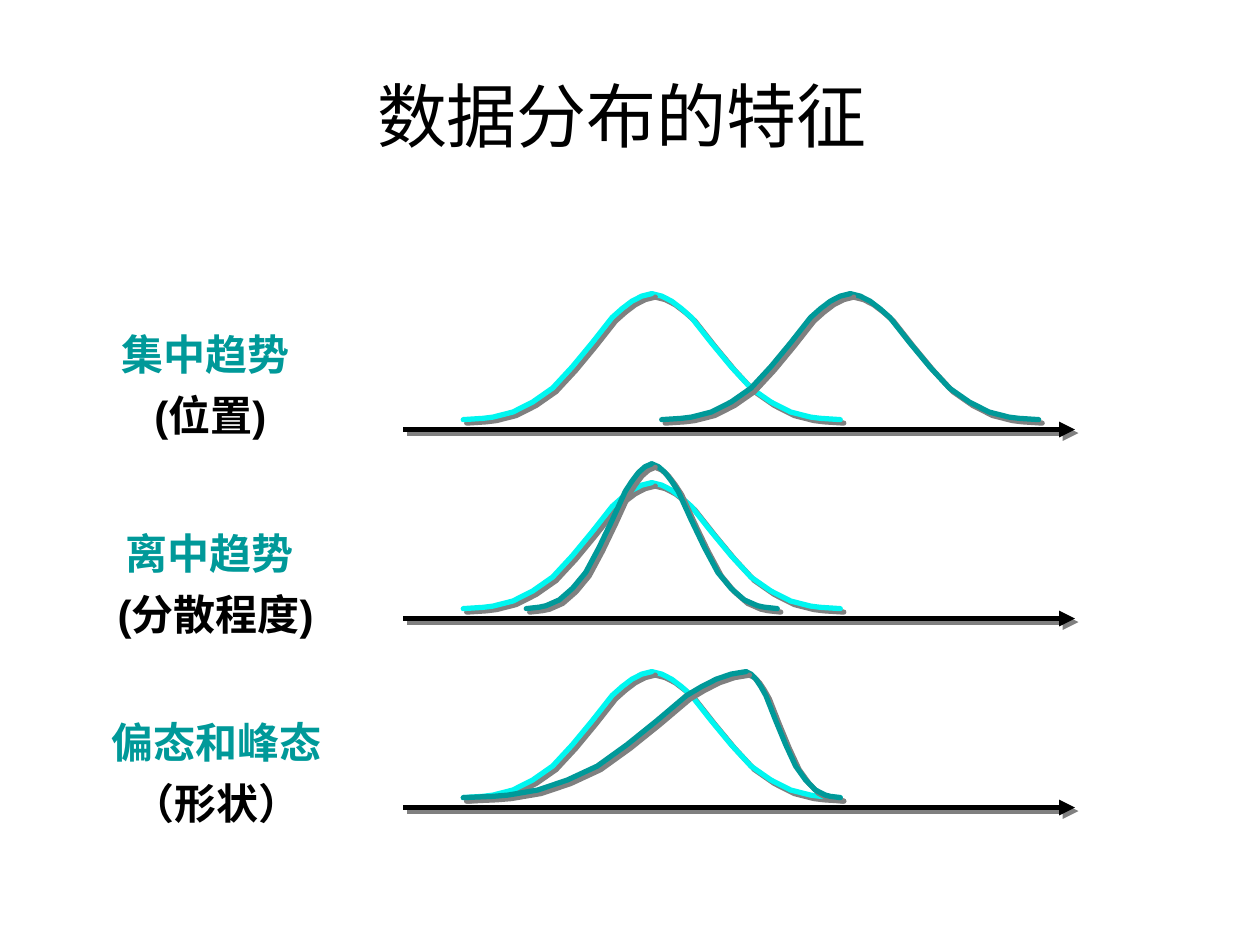
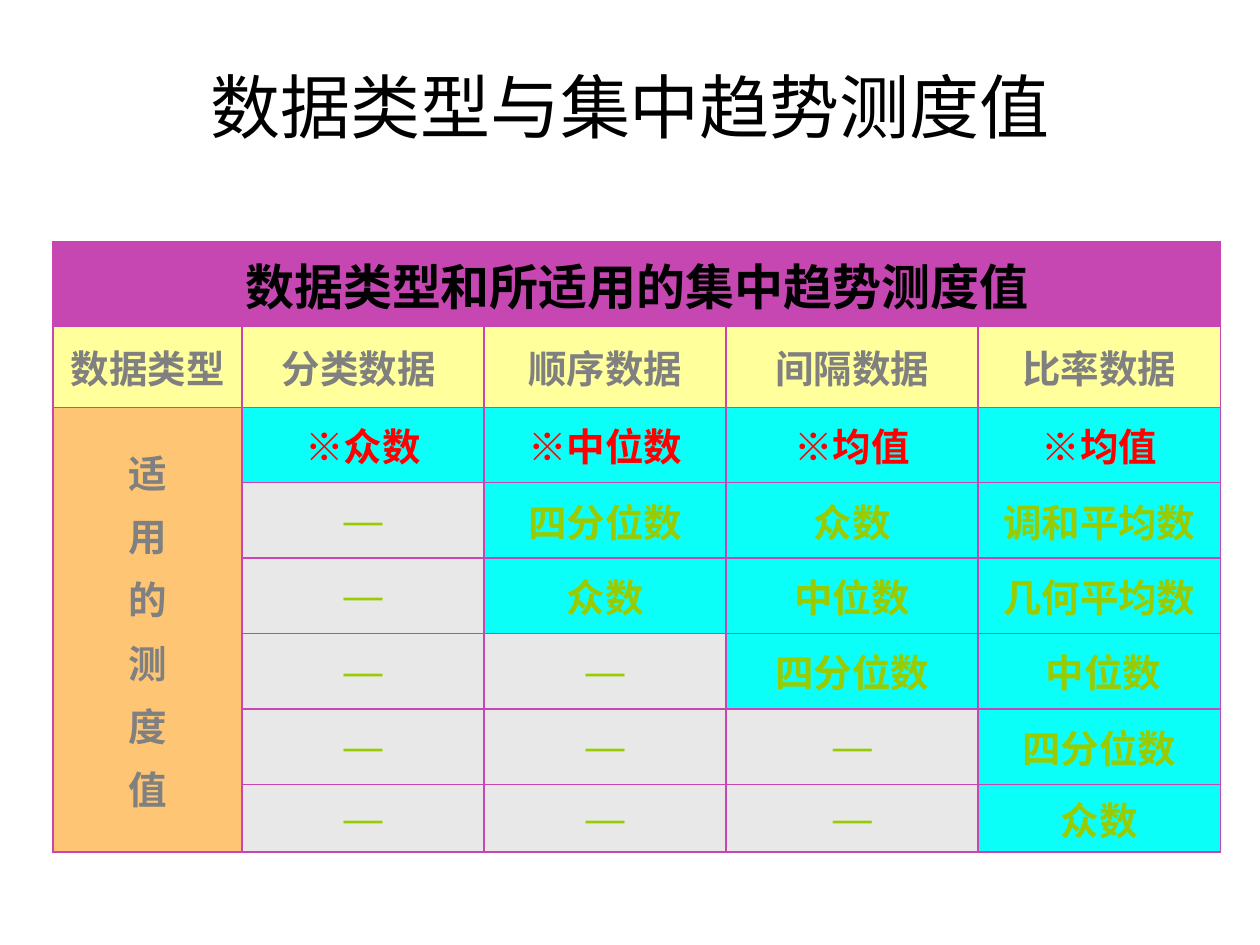
from itertools import cycle

from lxml import etree
from pptx import Presentation
from pptx.dml.color import RGBColor
from pptx.enum.shapes import MSO_CONNECTOR
from pptx.enum.text import MSO_ANCHOR, PP_ALIGN
from pptx.oxml.ns import qn
from pptx.util import Cm, Pt

LINE = MSO_CONNECTOR.STRAIGHT
MIDDLE = MSO_ANCHOR.MIDDLE
CENTER = PP_ALIGN.CENTER

BLACK, GREY, RED = "000000", "808080", "FF0000"
LIGHT, TEAL = "00F6F0", "009999"
EDGE, BANNER, HEAD, SIDE = "C945B3", "C747B2", "FFFF9B", "FEC674"
CYAN, PALE, GREEN = "0BFFF9", "E8E8E8", "99CC00"

# Half a bell: steps of 1/19 from foot to peak, and share of full height
STEPS = (0, 2, 3, 4, 5, 6, 7, 9, 11, 13, 14, 15, 16, 17, 18, 19)
RISE = (0, .01, .02, .04, .06, .1, .14, .25, .42,
        .61, .71, .81, .88, .94, .98, 1)

# Bells: left foot, peak, right foot, height (cm)
NORMAL = (9.34, 13.14, 16.94, 2.54)
ROWS = (
    ((1.27, 6.35, 5.94), ("集中趋势 ", "(位置)"),
     (13.34, 17.14, 20.94, 2.54)),
    ((0.84, 10.36, 6.78), ("离中趋势", " (分散程度)"),
     (10.61, 13.14, 15.67, 2.92)),
    ((1.07, 14.17, 6.58), ("偏态和峰态", "（形状）"),
     (9.34, 15.04, 16.94, 2.54)),
)
FOOT, STEP = 8.46, 3.81

DASH = "—"
COLS = (3.81, 4.88, 4.88, 5.08, 4.88)
HIGH = (1.7, 1.63, 1.52, 1.52, 1.52, 1.52, 1.52, 1.37)
TYPES = ("数据类型", "分类数据 ", "顺序数据", "间隔数据", "比率数据")
BODY = (
    ("※众数", "※中位数", "※均值", "※均值"),
    (DASH, "四分位数", "众数", "调和平均数"),
    (DASH, "众数", "中位数", "几何平均数"),
    (DASH, DASH, "四分位数", " 中位数"),
    (DASH, DASH, DASH, "四分位数"),
    (DASH, DASH, DASH, "众数"),
)


def rgb(hue):
    """Turn a hex string into a colour."""
    return RGBColor.from_string(hue)


def write(frame, *lines, size, hues=(BLACK,), font="Arial", bold=False, gap=0):
    """Fill a frame with centred lines, taking the hues in turn."""
    for i, (line, hue) in enumerate(zip(lines, cycle(hues))):
        para = frame.add_paragraph() if i else frame.paragraphs[0]
        para.alignment = CENTER
        para.space_before = Pt(gap if i else 0)
        run = para.add_run()
        run.text = line
        run.font.size, run.font.bold, run.font.name = Pt(size), bold, font
        run.font.color.rgb = rgb(hue)


def label(shapes, box, *lines, **style):
    """Add a wrapped text box, centred both ways."""
    frame = shapes.add_textbox(*map(Cm, box)).text_frame
    frame.word_wrap = True
    frame.vertical_anchor = MIDDLE
    write(frame, *lines, **style)


def stroke(shape, hue):
    """Give a curve or axis its line and hard grey shadow; return the line."""
    shape.line.width = Pt(3)
    shape.line.color.rgb = rgb(hue)
    props = shape._element.spPr
    for old in props.findall(qn("a:effectLst")):
        props.remove(old)
    cast = etree.SubElement(
        etree.SubElement(props, qn("a:effectLst")), qn("a:outerShdw"),
        blurRad="0", dist=str(Pt(2.8)), dir="2700000", algn="ctr",
        rotWithShape="0")
    etree.SubElement(cast, qn("a:srgbClr"), val=GREY)
    return props.find(qn("a:ln"))


def half(shapes, foot, peak, base, high, hue):
    """Draw one side of a bell, from its foot to its peak."""
    points = [(Cm(foot + (peak - foot) * s / STEPS[-1]), Cm(base - high * r))
              for s, r in zip(STEPS, RISE)]
    build = shapes.build_freeform(*points[0])
    build.add_line_segments(points[1:], close=False)
    curve = build.convert_to_shape()
    curve.fill.background()
    stroke(curve, hue).set("cap", "rnd")


def bell(shapes, form, base, hue):
    """Draw a bell as a right and a left half."""
    left, peak, right, high = form
    for foot in (right, left):
        half(shapes, foot, peak, base, high, hue)


def axis(shapes, y):
    """Draw a horizontal axis with an arrowhead."""
    line = shapes.add_connector(LINE, Cm(8.13), Cm(y), Cm(21.67), Cm(y))
    etree.SubElement(stroke(line, BLACK), qn("a:tailEnd"), type="triangle")


def border(cell):
    """Rule all four sides of a cell."""
    props = cell._tc.get_or_add_tcPr()
    for side in ("lnL", "lnR", "lnT", "lnB"):
        line = etree.SubElement(props, qn("a:" + side), w=str(Pt(1)))
        fill = etree.SubElement(line, qn("a:solidFill"))
        etree.SubElement(fill, qn("a:srgbClr"), val=EDGE)


def put(cell, fill, *lines, hue=GREY, size=22, font="Times New Roman"):
    """Fill one cell with colour and bold text."""
    cell.fill.solid()
    cell.fill.fore_color.rgb = rgb(fill)
    cell.vertical_anchor = MIDDLE
    write(cell.text_frame, *lines, size=size, hues=(hue,), font=font,
          bold=True, gap=4.4)


def page(deck, title, box):
    """Add a blank slide with its title."""
    slide = deck.slides.add_slide(deck.slide_layouts[6])
    label(slide.shapes, box, title, size=40)
    return slide


def shape_page(deck):
    """Build the slide that compares distribution curves."""
    slide = page(deck, "数据分布的特征", (2.69, 0.71, 19.69, 3.18))
    for i, ((x, y, wide), lines, form) in enumerate(ROWS):
        group = slide.shapes.add_group_shape().shapes
        base = FOOT + i * STEP
        label(group, (x, y, wide, 2.79), *lines, size=24,
              hues=(TEAL, BLACK), bold=True, gap=6)
        bell(group, NORMAL, base, LIGHT)
        bell(group, form, base, TEAL)
        axis(group, base + 0.2)


def table_page(deck):
    """Build the slide with the table of measures."""
    slide = page(deck, "数据类型与集中趋势测度值", (1.27, 0.76, 22.86, 2.74))
    grid = slide.shapes.add_table(
        len(HIGH), len(COLS), Cm(1.07), Cm(4.88),
        Cm(sum(COLS)), Cm(sum(HIGH))).table
    grid.first_row = grid.horz_banding = False
    for col, wide in zip(grid.columns, COLS):
        col.width = Cm(wide)
    for row, high in zip(grid.rows, HIGH):
        row.height = Cm(high)
    for cell in grid.iter_cells():
        border(cell)
    grid.cell(0, 0).merge(grid.cell(0, len(COLS) - 1))
    grid.cell(2, 0).merge(grid.cell(len(HIGH) - 1, 0))
    put(grid.cell(0, 0), BANNER, "数据类型和所适用的集中趋势测度值",
        hue=BLACK, size=28, font="Arial")
    put(grid.cell(2, 0), SIDE, *"适用的测度值")
    for c, name in enumerate(TYPES):
        put(grid.cell(1, c), HEAD, name)
    for r, row in enumerate(BODY):
        for c, name in enumerate(row, 1):
            put(grid.cell(r + 2, c), PALE if name == DASH else CYAN, name,
                hue=GREEN if r else RED)


def main():
    """Build and save the deck."""
    deck = Presentation()
    deck.slide_width, deck.slide_height = Cm(25.4), Cm(19.05)
    shape_page(deck)
    table_page(deck)
    deck.save("out.pptx")


main()
